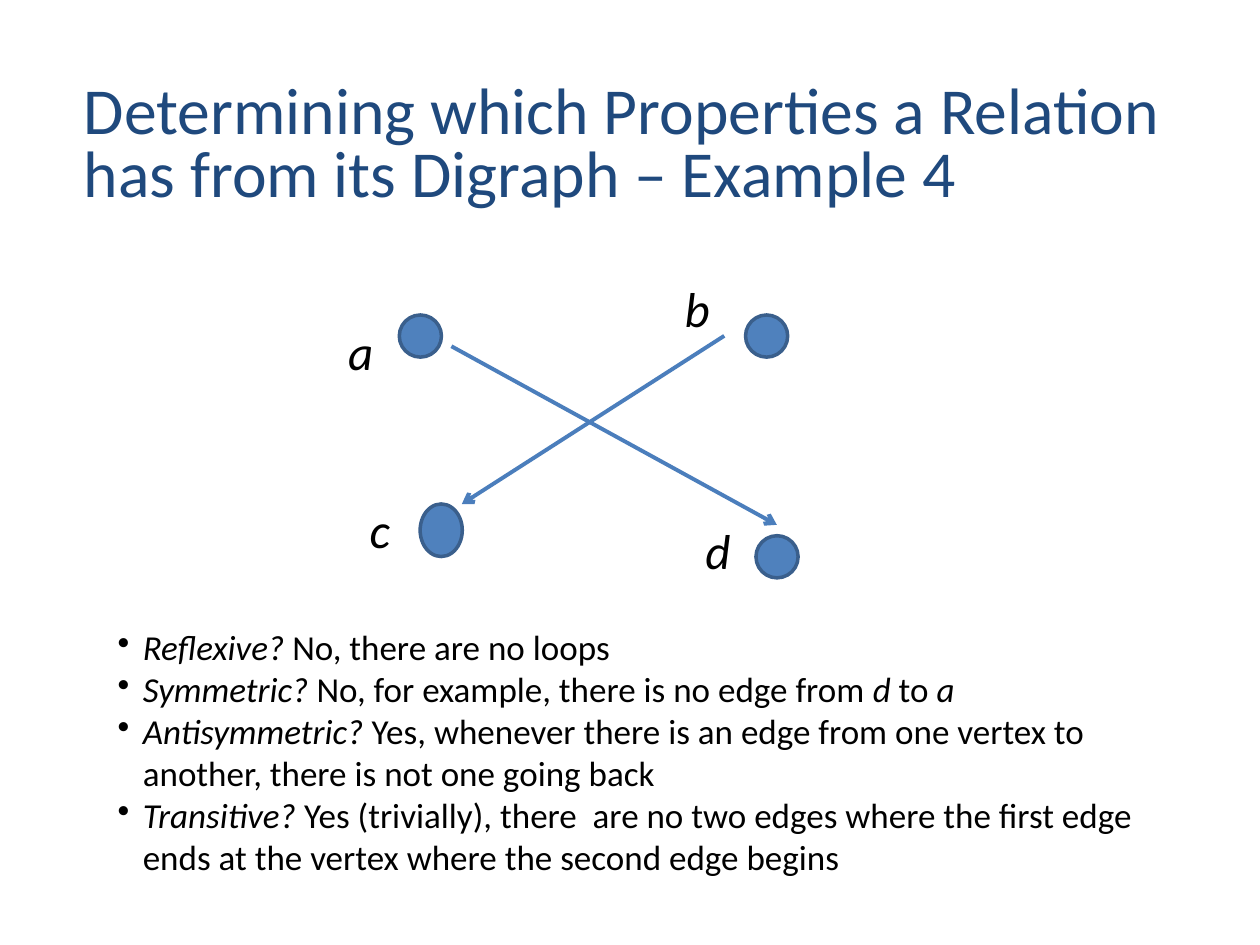
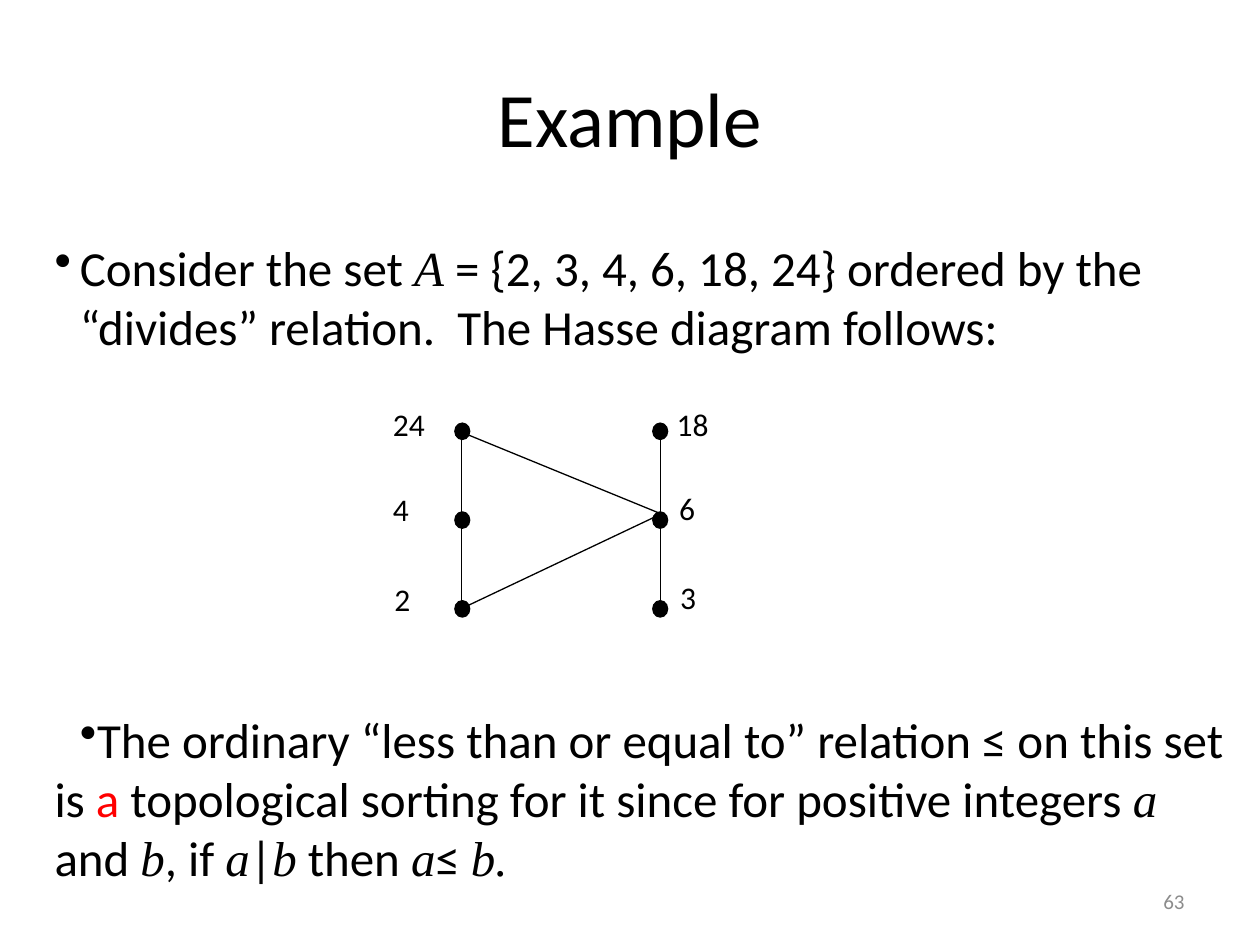
from lxml import etree
from pptx import Presentation
from pptx.dml.color import RGBColor
from pptx.enum.shapes import MSO_CONNECTOR, MSO_SHAPE
from pptx.enum.text import MSO_ANCHOR, PP_ALIGN
from pptx.oxml.ns import qn
from pptx.util import Cm, Pt

STRAIGHT = MSO_CONNECTOR.STRAIGHT
OVAL = MSO_SHAPE.OVAL
MIDDLE, BOTTOM = MSO_ANCHOR.MIDDLE, MSO_ANCHOR.BOTTOM
CENTER, RIGHT = PP_ALIGN.CENTER, PP_ALIGN.RIGHT

BLACK, NAVY, GRAY = "000000", "1F497D", "8C8C8C"
BLUE, DARK_BLUE, EDGE_BLUE = "4F81BD", "3A5F8C", "4B7EBC"
BULLET_INDENT = 0.51

# Run styles: attributes that differ from the paragraph's font
PLAIN = {}
ITALIC = {"italic": True}
MATH = {"italic": True, "name": "Times New Roman"}
RED = {"color": "FF0000"}


def color(hex_value):
    return RGBColor.from_string(hex_value)


def format_font(font, values):
    for name, value in values.items():
        if name == "color":
            font.color.rgb = color(value)
        else:
            setattr(font, name, value)


def add_bullet(paragraph, margin, indent):
    properties = paragraph._p.get_or_add_pPr()
    properties.set("marL", str(Cm(margin)))
    properties.set("indent", str(Cm(indent)))
    etree.SubElement(properties, qn("a:buChar")).set("char", "•")


def add_text(slide, box, paragraphs, size, font_color=BLACK, bullet=None,
             frame_format=None, paragraph_format=None):
    """Add a text box; each paragraph is a list of (text, run style) pairs."""
    frame = slide.shapes.add_textbox(*map(Cm, box)).text_frame
    frame.word_wrap = True
    for name, value in (frame_format or {}).items():
        setattr(frame, name, value)
    base = {"name": "Calibri", "size": Pt(size), "color": font_color}
    for index, runs in enumerate(paragraphs):
        paragraph = frame.add_paragraph() if index else frame.paragraphs[0]
        for name, value in (paragraph_format or {}).items():
            setattr(paragraph, name, value)
        if bullet:
            add_bullet(paragraph, *bullet)
        for text, style in runs:
            run = paragraph.add_run()
            run.text = text
            format_font(run.font, base | style)


def add_label(slide, box, text, size, style=PLAIN):
    add_text(slide, box, [[(text, style)]], size)


def add_vertex(slide, box, fill, line, width):
    vertex = slide.shapes.add_shape(OVAL, *map(Cm, box))
    vertex.shadow.inherit = False
    vertex.fill.solid()
    vertex.fill.fore_color.rgb = color(fill)
    vertex.line.color.rgb = color(line)
    vertex.line.width = Pt(width)


def add_edge(slide, start, end, line, width, arrow=False):
    edge = slide.shapes.add_connector(STRAIGHT, *map(Cm, start + end))
    edge.line.color.rgb = color(line)
    edge.line.width = Pt(width)
    if arrow:
        tail = etree.SubElement(edge.line._get_or_add_ln(), qn("a:tailEnd"))
        tail.set("type", "arrow")
    etree.SubElement(edge._element.spPr, qn("a:effectLst"))


def build_digraph_slide(slide):
    vertices = [
        # name, vertex left, top, height, label left, top
        ("a", 8.05, 6.35, 0.85, 6.77, 6.35),
        ("b", 15.03, 6.35, 0.85, 13.55, 5.5),
        ("c", 8.47, 10.16, 1.06, 7.2, 9.95),
        ("d", 15.24, 10.8, 0.85, 13.97, 10.37),
    ]
    for name, left, top, height, label_left, label_top in vertices:
        add_vertex(slide, (left, top, 0.85, height), BLUE, DARK_BLUE, 2)
        add_label(slide, (label_left, label_top, 1.06, 1.45), name, 28, ITALIC)
    for start, end in [((9.1, 6.98), (15.66, 10.58)),
                       ((14.6, 6.77), (9.31, 10.16))]:
        add_edge(slide, start, end, EDGE_BLUE, 2.25, arrow=True)

    answers = [
        [("Reflexive?", ITALIC), (" No, there are no loops", PLAIN)],
        [("Symmetric?", ITALIC),
         (" No, for example, there is no edge from ", PLAIN),
         ("d", ITALIC), (" to ", PLAIN), ("a", ITALIC)],
        [("Antisymmetric?", ITALIC),
         (" Yes, whenever there is an edge from one vertex to another, "
          "there is not one going back", PLAIN)],
        [("Transitive? ", ITALIC),
         ("Yes (trivially), there  are no two edges where the first edge "
          "ends at the vertex where the second edge begins", PLAIN)],
    ]
    add_text(slide, (2.12, 12.49, 22.23, 5.4), answers, 20,
             bullet=(BULLET_INDENT, -BULLET_INDENT))
    title = ("Determining which Properties a Relation has from its Digraph "
             "– Example 4")
    add_text(slide, (1.69, 1.06, 22.86, 3.18), [[(title, PLAIN)]], 37.5, NAVY,
             frame_format={"vertical_anchor": BOTTOM, "margin_left": 0,
                           "margin_right": 0, "margin_bottom": 0},
             paragraph_format={"line_spacing": 0.8})


def build_hasse_slide(slide):
    add_text(slide, (1.27, 0.76, 22.86, 3.18), [[("Example", PLAIN)]], 44,
             frame_format={"vertical_anchor": MIDDLE},
             paragraph_format={"alignment": CENTER})
    add_text(slide, (18.2, 17.65, 5.93, 1.02), [[("63", PLAIN)]], 12, GRAY,
             frame_format={"vertical_anchor": MIDDLE},
             paragraph_format={"alignment": RIGHT})

    task = [("Consider the set ", PLAIN), ("A", MATH),
            (" = {2, 3, 4, 6, 18, 24} ordered by the “divides” relation.  "
             "The Hasse diagram follows:", PLAIN)]
    add_text(slide, (0.85, 4.66, 23.06, 2.64), [task], 28,
             bullet=(BULLET_INDENT, -BULLET_INDENT))
    sorting = [
        ("The ordinary “less than or equal to” relation ≤ on this set is ",
         PLAIN),
        ("a", RED),
        (" topological sorting for it since for positive integers ", PLAIN),
        ("a", MATH), (" and ", PLAIN), ("b", MATH), (", if ", PLAIN),
        ("a", MATH), ("|", PLAIN), ("b", MATH), (" then ", PLAIN),
        ("a", MATH), ("≤ ", PLAIN), ("b.", MATH),
    ]
    add_text(slide, (0.85, 14.18, 24.13, 3.81), [sorting], 28,
             bullet=(0, BULLET_INDENT))

    dot_top, row_step = 8.53, 1.79
    columns = [
        # dot left, then number, label left, top from top row to bottom row
        (9.17, [("24", 7.67, 8.05), ("4", 7.67, 9.75), ("2", 7.7, 11.56)]),
        (13.16, [("18", 13.39, 8.05), ("6", 13.44, 9.73), ("3", 13.46, 11.53)]),
    ]
    for dot_left, labels in columns:
        for row, (number, left, top) in enumerate(labels):
            dot = (dot_left, dot_top + row * row_step, 0.3, 0.33)
            add_vertex(slide, dot, BLACK, BLACK, 0.75)
            add_label(slide, (left, top, 1.57, 1.32), number, 18)

    six = (13.33, 10.36)
    for start, end in [((9.3, 8.61), (9.3, 12.17)),
                       ((13.31, 8.71), (13.31, 12.27)),
                       ((9.3, 8.71), six),
                       ((9.3, 12.27), six)]:
        add_edge(slide, start, end, BLACK, 0.75)


def main():
    presentation = Presentation()
    presentation.slide_width, presentation.slide_height = Cm(25.4), Cm(19.05)
    blank = presentation.slide_layouts[6]
    for build in (build_digraph_slide, build_hasse_slide):
        build(presentation.slides.add_slide(blank))
    presentation.save("out.pptx")


if __name__ == "__main__":
    main()
